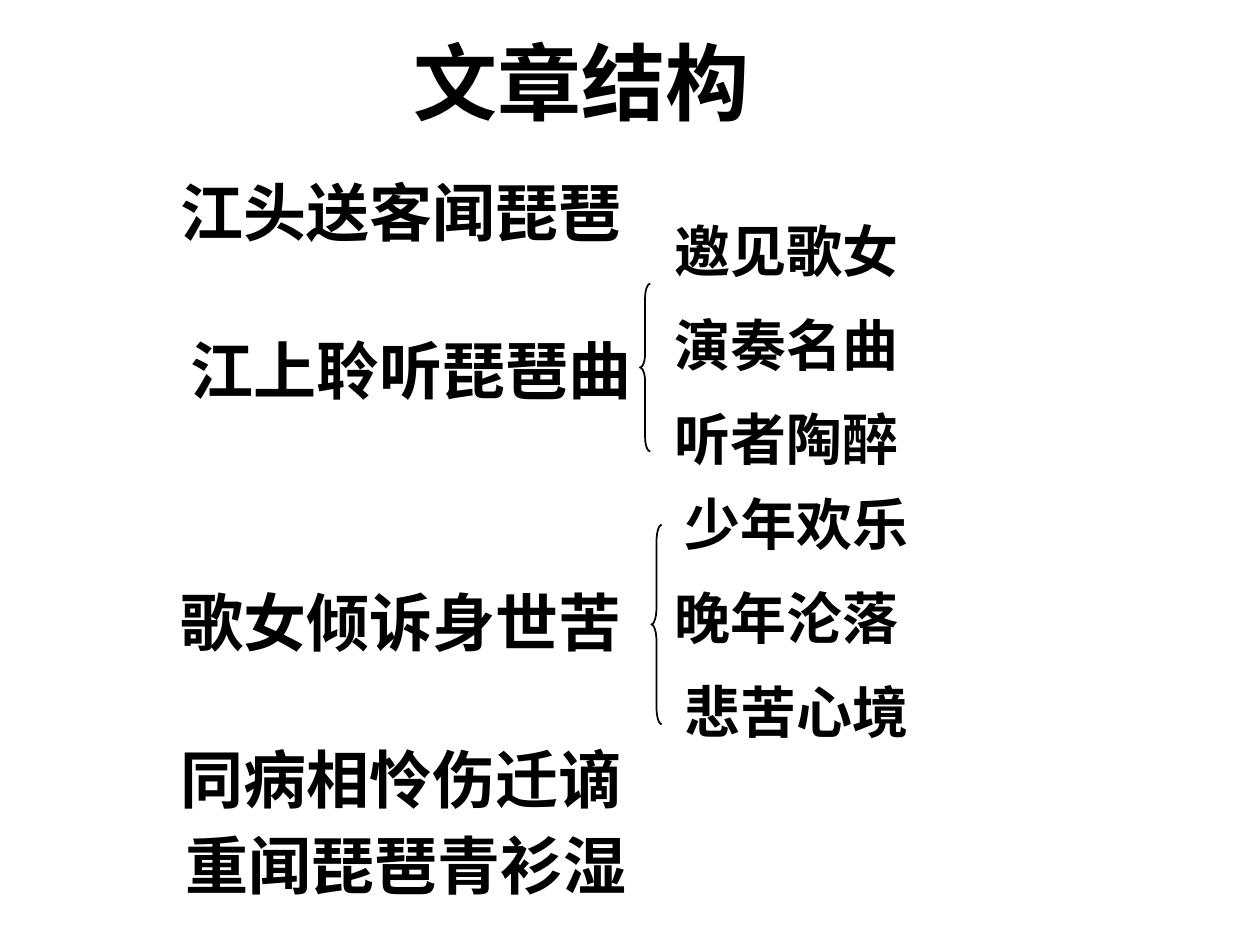
from pptx import Presentation
from pptx.dml.color import RGBColor as Rgb
from pptx.enum.shapes import MSO_SHAPE as Shape
from pptx.enum.text import MSO_ANCHOR as Anchor
from pptx.util import Cm, Pt

INK = {"text": "000000", "line": "000000"}
SERIF = "Times New Roman"
STEP = 1.9

STAGES = [
    ("江头送客闻琵琶", 3.38, 3.38, 10.36),
    ("江上聆听琵琶曲", 3.6, 6.55, 10.36),
    ("歌女倾诉身世苦", 3.38, 11.63, 9.53),
    ("同病相怜伤迁谪", 3.38, 14.81, 10.58),
    ("重闻琵琶青衫湿", 3.5, 16.54, 10.36),
]
GROUPS = [
    ((12.9, 5.72, 0.21, 3.38), (13.34, 4.24),
     [("邀见歌女", 0, 5.29), ("演奏名曲", 0, 6.14), ("听者陶醉", 0, 6.98)]),
    ((13.13, 10.58, 0.21, 4.02), (13.34, 9.74),
     [("少年欢乐", 0.21, 6.35), ("晚年沦落", 0, 5.5), ("悲苦心境", 0.21, 6.14)]),
]


def add_text(slide, box, text, size, face=SERIF, anchor=Anchor.TOP):
    frame = slide.shapes.add_textbox(*map(Cm, box)).text_frame
    frame.word_wrap = True
    frame.vertical_anchor = anchor
    para = frame.paragraphs[0]
    para.text = text
    font = para.font
    font.name, font.size, font.bold = face, Pt(size), True
    font.color.rgb = Rgb.from_string(INK["text"])


def add_title(slide, box):
    add_text(slide, box, "文章结构", 48, "Arial", Anchor.MIDDLE)


def add_stages(slide):
    for text, left, top, width in STAGES:
        add_text(slide, (left, top, width, 1.78), text, 36)


def add_brace(slide, box):
    brace = slide.shapes.add_shape(Shape.LEFT_BRACE, *map(Cm, box))
    brace.shadow.inherit = False
    brace.fill.background()
    brace.line.color.rgb = Rgb.from_string(INK["line"])
    brace.line.width = Pt(1)
    width, height = box[2:]
    brace.adjustments[0] = height / width / 12


def add_group(slide, brace, origin, notes):
    add_brace(slide, brace)
    left, top = origin
    for row, (text, shift, width) in enumerate(notes):
        add_text(slide, (left + shift, top + row * STEP, width, 1.63), text, 32)


def main():
    deck = Presentation()
    deck.slide_width, deck.slide_height = Cm(25.4), Cm(19.05)
    slide = deck.slides.add_slide(deck.slide_layouts[6])
    add_title(slide, (8.08, 0.79, 12.27, 1.7))
    add_stages(slide)
    for group in GROUPS:
        add_group(slide, *group)
    deck.save("out.pptx")


if __name__ == "__main__":
    main()
